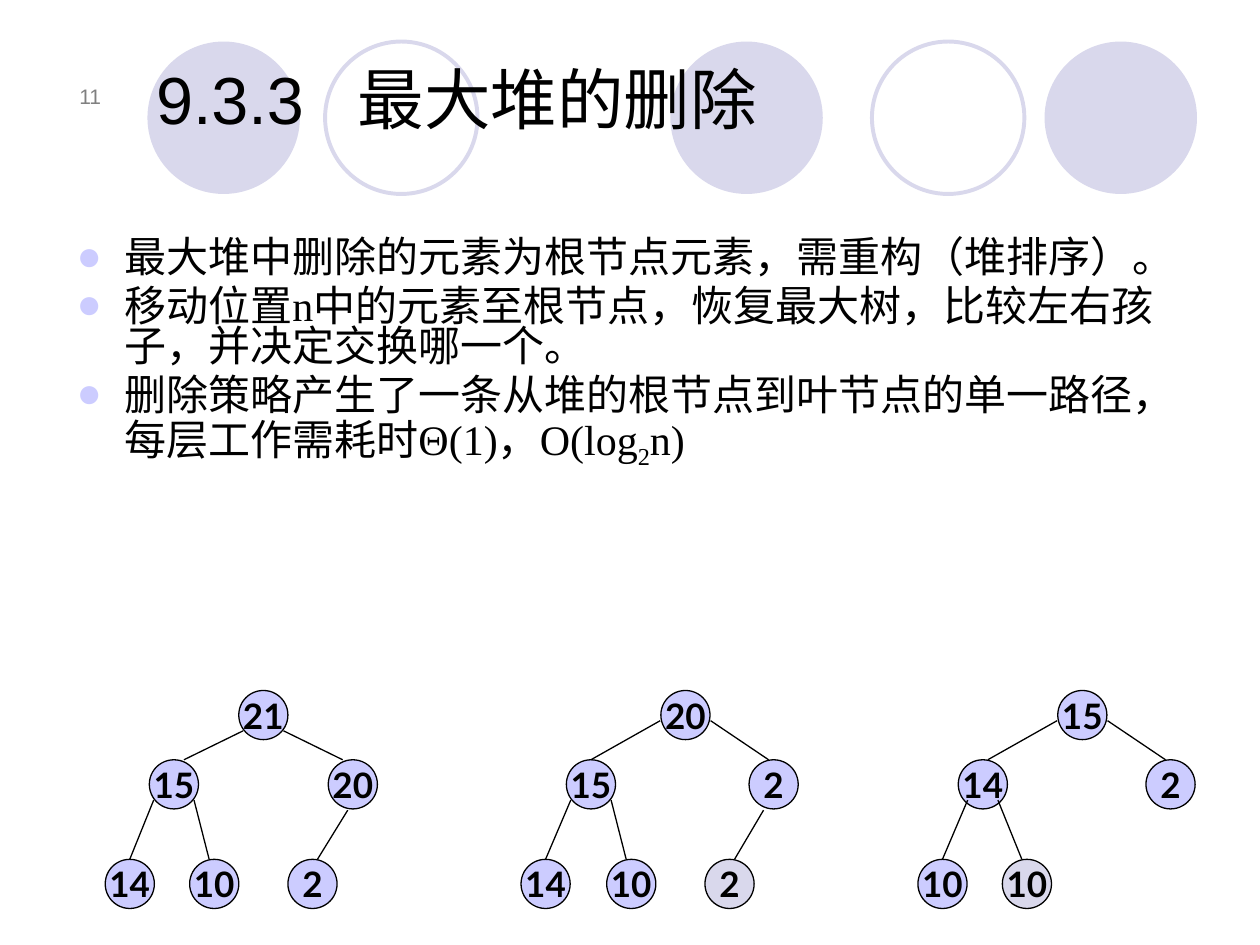
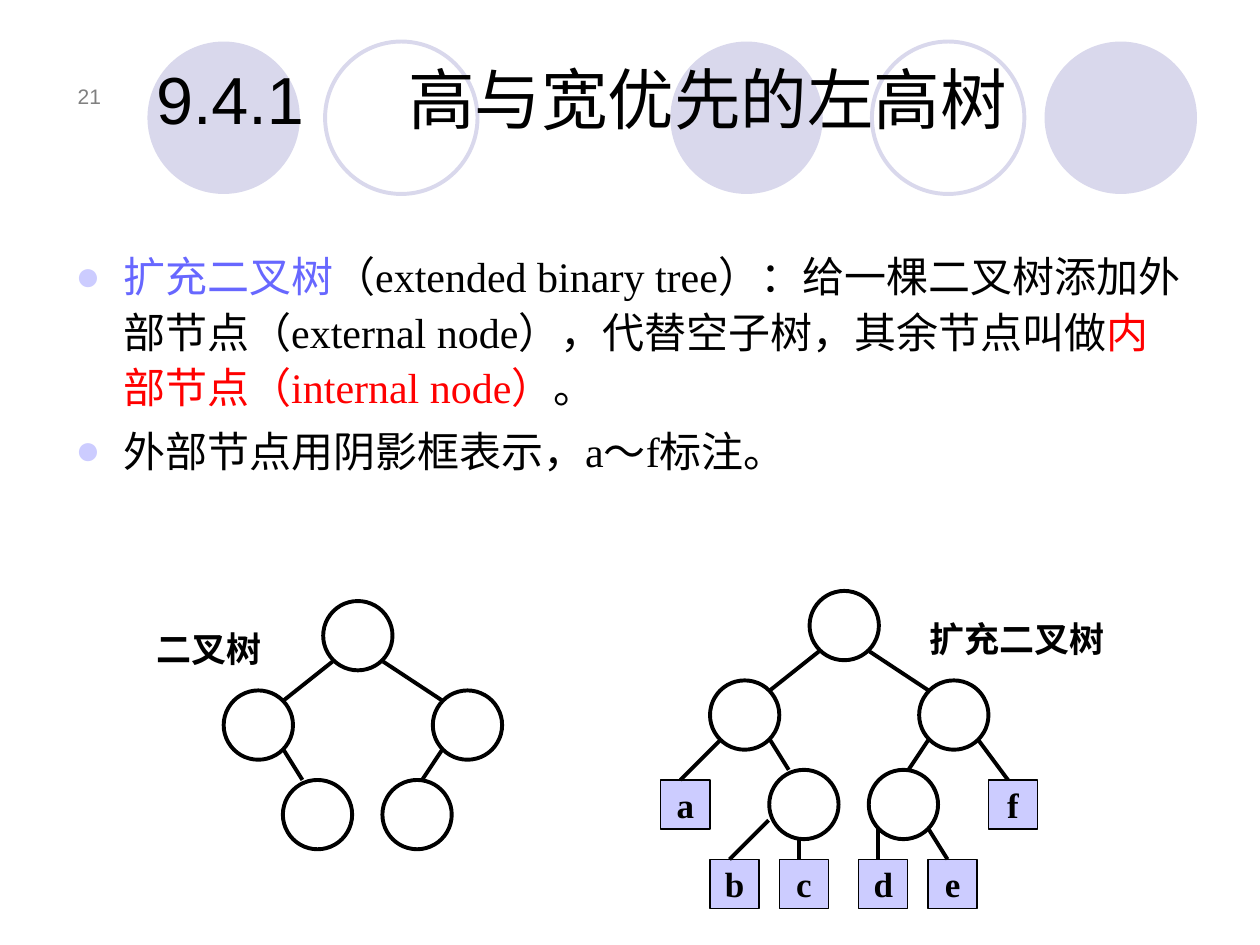
from dataclasses import dataclass

from lxml import etree
from pptx import Presentation
from pptx.dml.color import RGBColor
from pptx.enum.shapes import MSO_CONNECTOR, MSO_SHAPE
from pptx.enum.text import MSO_ANCHOR, PP_ALIGN
from pptx.oxml.ns import qn
from pptx.util import Inches, Pt


@dataclass(frozen=True)
class Theme:
    ink: str = "000000"
    muted: str = "808080"
    band: str = "D9D8EC"
    accent: str = "CCCCFF"
    term: str = "6767FF"
    alert: str = "FF0000"
    heading_font: str = "Arial"
    body_font: str = "Times New Roman"
    node_font: str = "Lato"
    title_size: float = 38
    body_size: float = 24
    label_size: float = 20
    number_size: float = 12
    thin: float = 0.75
    thick: float = 2.25


THEME = Theme()


@dataclass(frozen=True)
class Box:
    left: float
    top: float
    width: float
    height: float

    def lengths(self):
        return [Inches(v) for v in (self.left, self.top, self.width, self.height)]


@dataclass(frozen=True)
class NodeStyle:
    outline: int
    size: float
    fill: str
    line: float
    font: str = THEME.body_font


@dataclass(frozen=True)
class Node:
    center: float
    top: float
    style: NodeStyle
    label: str = ""


@dataclass(frozen=True)
class Edge:
    parent: str
    child: str
    leave: tuple
    arrive: tuple


HEAP = NodeStyle(MSO_SHAPE.OVAL, 0.39, THEME.accent, THEME.thin, THEME.node_font)
MOVED = NodeStyle(MSO_SHAPE.OVAL, 0.39, THEME.band, THEME.thin, THEME.node_font)
INTERNAL = NodeStyle(MSO_SHAPE.OVAL, 0.55, None, THEME.thick)
EXTERNAL = NodeStyle(MSO_SHAPE.RECTANGLE, 0.39, THEME.accent, THEME.thin)

BAND_BOX = Box(1.17, 0.33, 8.33, 1.21)
BAND_CIRCLES = [(0, True), (1.41, False), (4.15, True), (5.75, False), (7.12, True)]
NUMBER_BOX = Box(0.35, 0.44, 0.55, 0.47)
TITLE_BOX = Box(1.14, 0.21, 8.59, 0.93)


def add_run(paragraph, text, size, font, color=THEME.ink, bold=False, baseline=0):
    run = paragraph.add_run()
    run.text = text
    run.font.size = Pt(size)
    run.font.name = font
    run.font.bold = bold
    run.font.color.rgb = RGBColor.from_string(color)
    if baseline:
        run.font._element.set("baseline", str(baseline * 1000))


def add_frame(slide, box, anchor=MSO_ANCHOR.TOP):
    frame = slide.shapes.add_textbox(*box.lengths()).text_frame
    frame.word_wrap = True
    frame.vertical_anchor = anchor
    return frame


def add_outline(slide, kind, box, fill, line_color, line_width):
    outline = slide.shapes.add_shape(kind, *box.lengths())
    outline.shadow.inherit = False
    if fill:
        outline.fill.solid()
        outline.fill.fore_color.rgb = RGBColor.from_string(fill)
    else:
        outline.fill.background()
    if line_color:
        outline.line.color.rgb = RGBColor.from_string(line_color)
        outline.line.width = Pt(line_width)
    else:
        outline.line.fill.background()
    return outline


def add_line(slide, start, end, width):
    line = slide.shapes.add_connector(
        MSO_CONNECTOR.STRAIGHT, *[Inches(v) for v in (*start, *end)])
    line.line.color.rgb = RGBColor.from_string(THEME.ink)
    line.line.width = Pt(width)
    etree.SubElement(line._element.spPr, qn("a:effectLst"))


def draw_band(slide, box):
    for offset, solid in BAND_CIRCLES:
        circle = Box(box.left + offset, box.top, box.height, box.height)
        fill, line = (THEME.band, None) if solid else (None, THEME.band)
        add_outline(slide, MSO_SHAPE.OVAL, circle, fill, line, THEME.thick)


def draw_number(slide, box, number):
    paragraph = add_frame(slide, box, MSO_ANCHOR.BOTTOM).paragraphs[0]
    paragraph.alignment = PP_ALIGN.RIGHT
    add_run(paragraph, number, THEME.number_size, THEME.heading_font, THEME.muted)


def draw_title(slide, box, section, heading, tab):
    paragraph = add_frame(slide, box, MSO_ANCHOR.BOTTOM).paragraphs[0]
    stops = etree.SubElement(paragraph._p.get_or_add_pPr(), qn("a:tabLst"))
    etree.SubElement(stops, qn("a:tab"), pos=str(Inches(tab)), algn="l")
    add_run(paragraph, f"{section}\t{heading}", THEME.title_size, THEME.heading_font)


def start_slide(prs, number, section, heading, tab):
    slide = prs.slides.add_slide(prs.slide_layouts[6])
    draw_band(slide, BAND_BOX)
    draw_number(slide, NUMBER_BOX, number)
    draw_title(slide, TITLE_BOX, section, heading, tab)
    return slide


def add_bullet(paragraph):
    properties = paragraph._p.get_or_add_pPr()
    properties.set("marL", str(Inches(0.38)))
    properties.set("indent", str(-Inches(0.38)))
    color = etree.SubElement(properties, qn("a:buClr"))
    etree.SubElement(color, qn("a:srgbClr"), val=THEME.accent)
    etree.SubElement(properties, qn("a:buFont"), typeface=THEME.heading_font)
    etree.SubElement(properties, qn("a:buChar"), char="●")


def draw_bullets(slide, box, points, spacing):
    frame = add_frame(slide, box)
    for index, point in enumerate(points):
        paragraph = frame.add_paragraph() if index else frame.paragraphs[0]
        paragraph.line_spacing = spacing
        paragraph.space_before = Pt(THEME.body_size * 0.2)
        add_bullet(paragraph)
        for text, look in point:
            add_run(paragraph, text, THEME.body_size, THEME.body_font, **look)


def draw_label(slide, box, text):
    paragraph = add_frame(slide, box).paragraphs[0]
    paragraph.space_before = Pt(THEME.label_size * 0.5)
    add_run(paragraph, text, THEME.label_size, THEME.body_font, bold=True)


def draw_node(slide, box, node):
    style = node.style
    place = Box(box.left + node.center - style.size / 2, box.top + node.top,
                style.size, style.size)
    outline = add_outline(slide, style.outline, place, style.fill, THEME.ink, style.line)
    if not node.label:
        return
    frame = outline.text_frame
    frame.word_wrap = False
    frame.vertical_anchor = MSO_ANCHOR.MIDDLE
    frame.margin_left = frame.margin_right = frame.margin_top = frame.margin_bottom = 0
    paragraph = frame.paragraphs[0]
    paragraph.alignment = PP_ALIGN.CENTER
    add_run(paragraph, node.label, THEME.label_size, style.font, bold=True)


def draw_tree(slide, box, nodes, edges, edge_width):
    def point(name, offset):
        node = nodes[name]
        return box.left + node.center + offset[0], box.top + node.top + offset[1]

    for node in nodes.values():
        draw_node(slide, box, node)
    for edge in edges:
        add_line(slide, point(edge.child, edge.arrive),
                 point(edge.parent, edge.leave), edge_width)


def heap_nodes(labels, centers, moved=None):
    rows = {"root": 0, "left": 0.55, "right": 0.55}
    return {name: Node(center, rows.get(name, 1.34),
                       MOVED if name == moved else HEAP, label)
            for (name, label), center in zip(labels.items(), centers)}


def heap_edges(root_leave, left_arrive, right_arrive, leaf_leave, second_arrive):
    def mirrored(offset):
        return -offset[0], offset[1]

    return [Edge("root", "left", mirrored(root_leave), (left_arrive, 0)),
            Edge("root", "right", root_leave, (right_arrive, 0)),
            Edge("left", "first", mirrored(leaf_leave), (0, 0)),
            Edge("left", "second", leaf_leave, (second_arrive, 0))]


def binary_nodes(inset=0):
    places = {"root": (1.07, 0), "left": (0.28, 0.71), "right": (1.94, 0.71),
              "inner left": (0.75, 1.42), "inner right": (1.54, 1.42)}
    return {name: Node(inset + center, top, INTERNAL)
            for name, (center, top) in places.items()}


BINARY_EDGES = [
    Edge("root", "left", (-0.2, 0.48), (0.2, 0.08)),
    Edge("root", "right", (0.2, 0.48), (-0.2, 0.08)),
    Edge("left", "inner left", (0.2, 0.47), (-0.12, 0)),
    Edge("right", "inner right", (-0.2, 0.47), (0.04, 0)),
]
EXTERNAL_LINKS = [
    ("a", 0.2, 1.5, "left", (-0.2, 0.48)),
    ("b", 0.59, 2.13, "inner left", (-0.28, 0.4)),
    ("c", 1.14, 2.13, "inner left", (-0.04, 0.55)),
    ("d", 1.77, 2.13, "inner right", (-0.2, 0.47)),
    ("e", 2.32, 2.13, "inner right", (0.2, 0.47)),
    ("f", 2.8, 1.5, "right", (0.2, 0.48)),
]


def build_deletion(prs):
    slide = start_slide(prs, "11", "9.3.3", "最大堆的删除", 1.6)
    draw_bullets(slide, Box(0.51, 1.86, 9, 3.26), [
        [("最大堆中删除的元素为根节点元素，需重构（堆排序）。", {})],
        [("移动位置n中的元素至根节点，恢复最大树，比较左右孩子，并决定交换哪一个。", {})],
        [("删除策略产生了一条从堆的根节点到叶节点的单一路径，每层工作需耗时Θ(1)，O(log", {}),
         ("2", {"baseline": -25}), ("n)", {})],
    ], 0.8)

    names = ["root", "left", "right", "first", "second", "third"]
    before = heap_nodes(dict(zip(names, ["21", "15", "20", "14", "10", "2"])),
                        [1.26, 0.55, 1.97, 0.2, 0.87, 1.65])
    after_one = heap_nodes(dict(zip(names, ["20", "15", "2", "14", "10", "2"])),
                           [1.31, 0.56, 2.01, 0.2, 0.88, 1.66], "third")
    after_two = heap_nodes(dict(zip(names, ["15", "14", "2", "10", "10"])),
                           [1.31, 0.52, 2.01, 0.2, 0.87], "second")
    before_edges = heap_edges((0.16, 0.32), 0.08, -0.08, (0.16, 0.32), -0.04)
    one_edges = heap_edges((0.2, 0.24), 0, -0.04, (0.16, 0.32), -0.04)
    two_edges = heap_edges((0.2, 0.24), 0.04, -0.04, (0.12, 0.32), -0.04)
    before_edges.append(Edge("right", "third", (-0.04, 0.4), (0.04, 0)))
    one_edges.append(Edge("right", "third", (-0.08, 0.4), (0.04, 0)))
    for left, nodes, edges in [(0.83, before, before_edges),
                               (4.13, after_one, one_edges),
                               (7.28, after_two, two_edges)]:
        draw_tree(slide, Box(left, 5.48, 2.2, 1.73), nodes, edges, THEME.thin)


def build_leftist(prs):
    slide = start_slide(prs, "21", "9.4.1", "高与宽优先的左高树", 2)
    draw_bullets(slide, Box(0.5, 1.9, 9, 2.51), [
        [("扩充二叉树", {"color": THEME.term}),
         ("（extended binary tree）：给一棵二叉树添加外部节点（external node），代替空子树，其余节点叫做", {}),
         ("内部节点（internal node）", {"color": THEME.alert}), ("。", {})],
        [("外部节点用阴影框表示，a～f标注。", {})],
    ], 1.1)

    draw_tree(slide, Box(1.77, 4.77, 2.21, 1.97), binary_nodes(), BINARY_EDGES, THEME.thick)
    extended = binary_nodes(inset=0.39)
    extended_edges = list(BINARY_EDGES)
    for name, center, top, parent, leave in EXTERNAL_LINKS:
        extended[name] = Node(center, top, EXTERNAL, name)
        extended_edges.append(Edge(parent, name, leave, (-0.04, 0)))
    draw_tree(slide, Box(5.24, 4.69, 2.99, 2.52), extended, extended_edges, THEME.thick)
    draw_label(slide, Box(1.14, 4.93, 1.1, 0.43), "二叉树")
    draw_label(slide, Box(7.28, 4.85, 1.65, 0.43), "扩充二叉树")


def main():
    prs = Presentation()
    prs.slide_width, prs.slide_height = Inches(10), Inches(7.5)
    build_deletion(prs)
    build_leftist(prs)
    prs.save("out.pptx")


if __name__ == "__main__":
    main()
